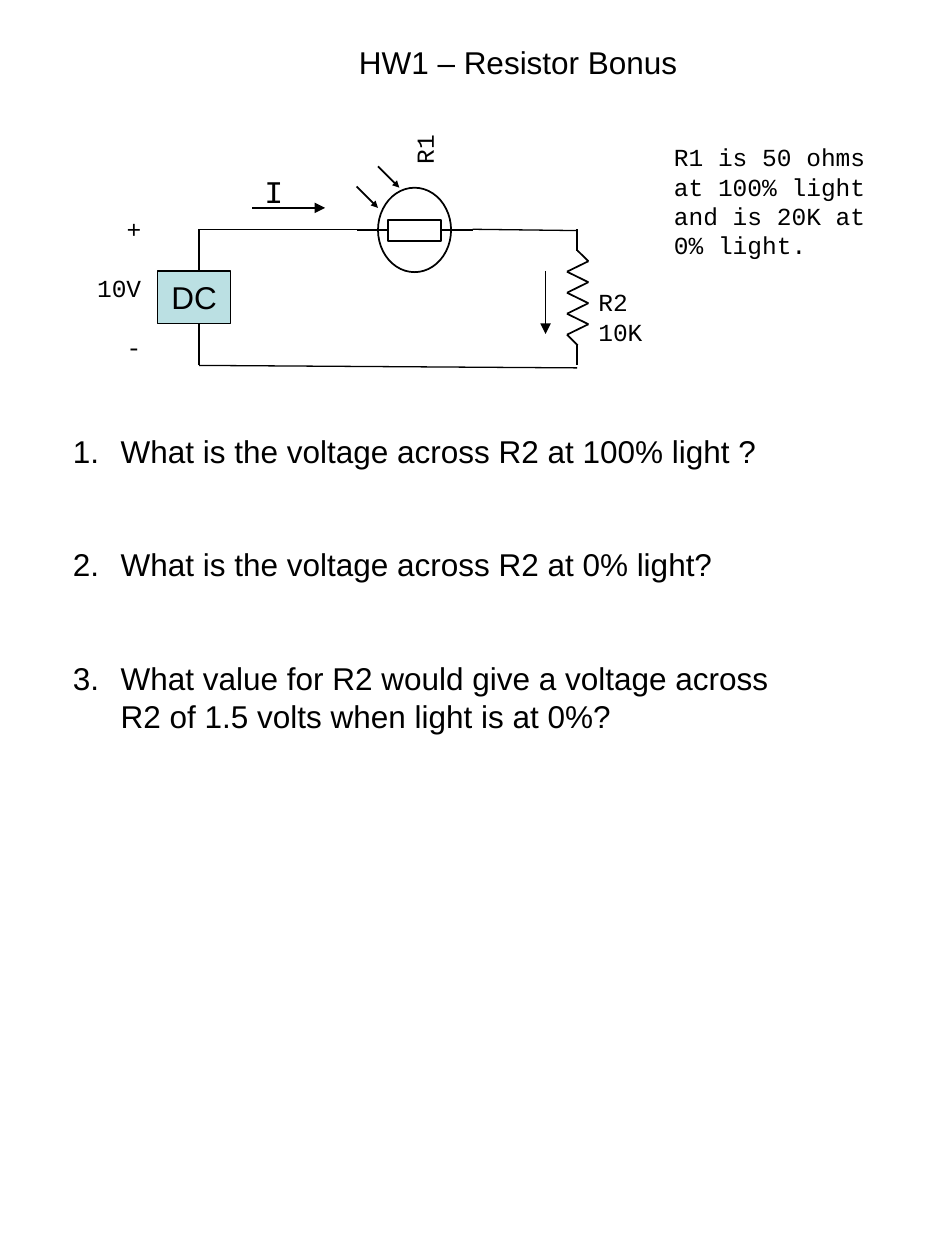
from itertools import pairwise

from lxml.etree import SubElement
from pptx import Presentation
from pptx.dml.color import RGBColor
from pptx.enum.shapes import MSO_CONNECTOR, MSO_SHAPE
from pptx.enum.text import MSO_ANCHOR, PP_ALIGN
from pptx.oxml.ns import qn
from pptx.util import Inches, Pt

COLORS = {"ink": "000000", "paper": "FFFFFF", "source": "BBE0E3"}
HEADING = {"name": "Arial", "size": Pt(18)}
LABEL = {"name": "Courier New", "size": Pt(14)}
CURRENT = {"name": "Courier New", "size": Pt(18)}
LINE_HEIGHT = 1.2  # exact line pitch as a multiple of the text size


def rgb(key):
    return RGBColor.from_string(COLORS[key])


def style_paragraph(paragraph, text, font, align=PP_ALIGN.LEFT, before=0):
    paragraph.text = text
    layout = {
        "alignment": align,
        "line_spacing": Pt(round(font["size"].pt * LINE_HEIGHT, 1)),
        "space_before": Pt(before),
    }
    for name, value in layout.items():
        setattr(paragraph, name, value)
    for name, value in font.items():
        setattr(paragraph.font, name, value)
    paragraph.font.color.rgb = rgb("ink")


def add_text(shapes, box, lines, font, wrap=False, align=PP_ALIGN.LEFT, gap=0):
    """Add a text box with one paragraph a line, gap points apart."""
    textbox = shapes.add_textbox(*map(Inches, box))
    frame = textbox.text_frame
    frame.word_wrap = wrap
    for index, line in enumerate(lines):
        paragraph = frame.add_paragraph() if index else frame.paragraphs[0]
        style_paragraph(paragraph, line, font, align, gap if index else 0)
    return textbox


def add_line(shapes, start, end, width=0.75, head=None):
    """Add a straight line; head is the arrowhead size at its end."""
    connector = shapes.add_connector(
        MSO_CONNECTOR.STRAIGHT, *map(Inches, (*start, *end)))
    connector.line.color.rgb = rgb("ink")
    connector.line.width = Pt(width)
    if head:
        SubElement(connector.line._get_or_add_ln(), qn("a:tailEnd"),
                   type="triangle", w=head, len=head)
    SubElement(connector._element.spPr, qn("a:effectLst"))


def add_part(shapes, kind, box, fill, width):
    part = shapes.add_shape(kind, *map(Inches, box))
    part.shadow.inherit = False
    part.fill.solid()
    part.fill.fore_color.rgb = rgb(fill)
    part.line.color.rgb = rgb("ink")
    part.line.width = Pt(width)
    return part


def draw_source(shapes, left, top, width, height):
    source = add_part(shapes, MSO_SHAPE.RECTANGLE, (left, top, width, height),
                      "source", 0.75)
    frame = source.text_frame
    frame.word_wrap = False
    frame.vertical_anchor = MSO_ANCHOR.MIDDLE
    style_paragraph(frame.paragraphs[0], "DC", HEADING, PP_ALIGN.CENTER)
    add_text(shapes, (left - 0.58, top - 0.5, 0.55, 1.27), ["+", "10V", "-"],
             LABEL, align=PP_ALIGN.RIGHT, gap=16.8)


def draw_resistor(shapes, left, top, width, height):
    """Draw the R2 zigzag, entering and leaving at the middle of its box."""
    group = shapes.add_group_shape().shapes
    steps = 9
    xs = [width / 2] + [width, 0] * 4 + [width / 2]
    points = [(left + x, top + height * i / steps) for i, x in enumerate(xs)]
    for start, end in pairwise(points):
        add_line(group, start, end, 1)
    add_text(group, (left + 0.15, top + 0.24, 0.55, 0.57), ["R2", "10K"], LABEL)


def draw_photoresistor(shapes, left, top, width, height):
    """Draw R1 with its leads across the box and the light falling on it."""
    group = shapes.add_group_shape().shapes
    middle, axis = left + width / 2, top + height / 2
    add_part(group, MSO_SHAPE.OVAL, (middle - 0.29, top, 0.58, height), "paper", 1)
    for x in (left, left + width - 0.25):
        add_line(group, (x, axis), (x + 0.25, axis), 1)
    for x, y in ((left, top - 0.01), (left + 0.17, top - 0.17)):
        add_line(group, (x, y), (x + 0.17, y + 0.17), 1, "sm")
    add_part(group, MSO_SHAPE.RECTANGLE, (middle - 0.21, axis - 0.08, 0.42, 0.17),
             "paper", 1)
    name = add_text(group, (left + 0.32, top - 0.48, 0.44, 0.34), ["R1"], LABEL)
    name.rotation = 270


def draw_circuit(shapes, left, top, width, height):
    right, bottom = left + width, top + height
    rail = left + 0.33
    wires = [
        ((rail, top + 0.83), (rail, top + 0.5)),
        ((rail, top + 0.5), (left + 1.58, top + 0.5)),
        ((left + 2.5, top + 0.5), (right - 0.09, top + 0.51)),
        ((rail, bottom - 0.02), (rail, top + 1.25)),
        ((rail, bottom - 0.02), (right - 0.09, bottom)),
        ((right - 0.09, top + 1.42), (right - 0.09, bottom - 0.02)),
        ((right - 0.09, top + 0.5), (right - 0.09, top + 0.67)),
    ]
    for start, end in wires:
        add_line(shapes, start, end)
    draw_source(shapes, left, top + 0.83, 0.58, 0.42)
    draw_resistor(shapes, right - 0.17, top + 0.67, 0.17, 0.75)
    draw_photoresistor(shapes, left + 1.58, top + 0.17, 0.92, 0.67)
    add_line(shapes, (left + 0.75, top + 0.33), (left + 1.33, top + 0.33), head="med")
    add_text(shapes, (left + 0.75, top, 0.35, 0.4), ["I"], CURRENT)
    add_line(shapes, (right - 0.34, top + 0.83), (right - 0.34, top + 1.33), head="med")


def draw_questions(shapes, left, top, width, height):
    questions = [
        "What is the voltage across R2 at 100% light ?",
        "What is the voltage across R2 at 0% light?",
        "What value for R2 would give a voltage across R2 of 1.5 volts "
        "when light is at 0%?",
    ]
    textbox = add_text(shapes, (left, top, width, height), questions, HEADING,
                       wrap=True, gap=43.2)
    indent = Inches(0.38)
    for paragraph in textbox.text_frame.paragraphs:
        properties = paragraph._p.get_or_add_pPr()
        properties.set("marL", str(indent))
        properties.set("indent", str(-indent))
        number = properties.makeelement(qn("a:buAutoNum"), {"type": "arabicPeriod"})
        properties.find(qn("a:defRPr")).addprevious(number)


def main():
    deck = Presentation()
    deck.slide_width, deck.slide_height = Inches(7.5), Inches(10)
    shapes = deck.slides.add_slide(deck.slide_layouts[6]).shapes
    add_text(shapes, (2.75, 0.29, 2.73, 0.4), ["HW1 – Resistor Bonus"], HEADING)
    draw_circuit(shapes, 1.25, 1.32, 3.42, 1.6)
    add_text(shapes, (5.25, 1.08, 1.75, 1.04),
             ["R1 is 50 ohms at 100% light and is 20K at 0% light."],
             LABEL, wrap=True)
    draw_questions(shapes, 0.48, 3.38, 6.1, 3.1)
    deck.save("out.pptx")


if __name__ == "__main__":
    main()
